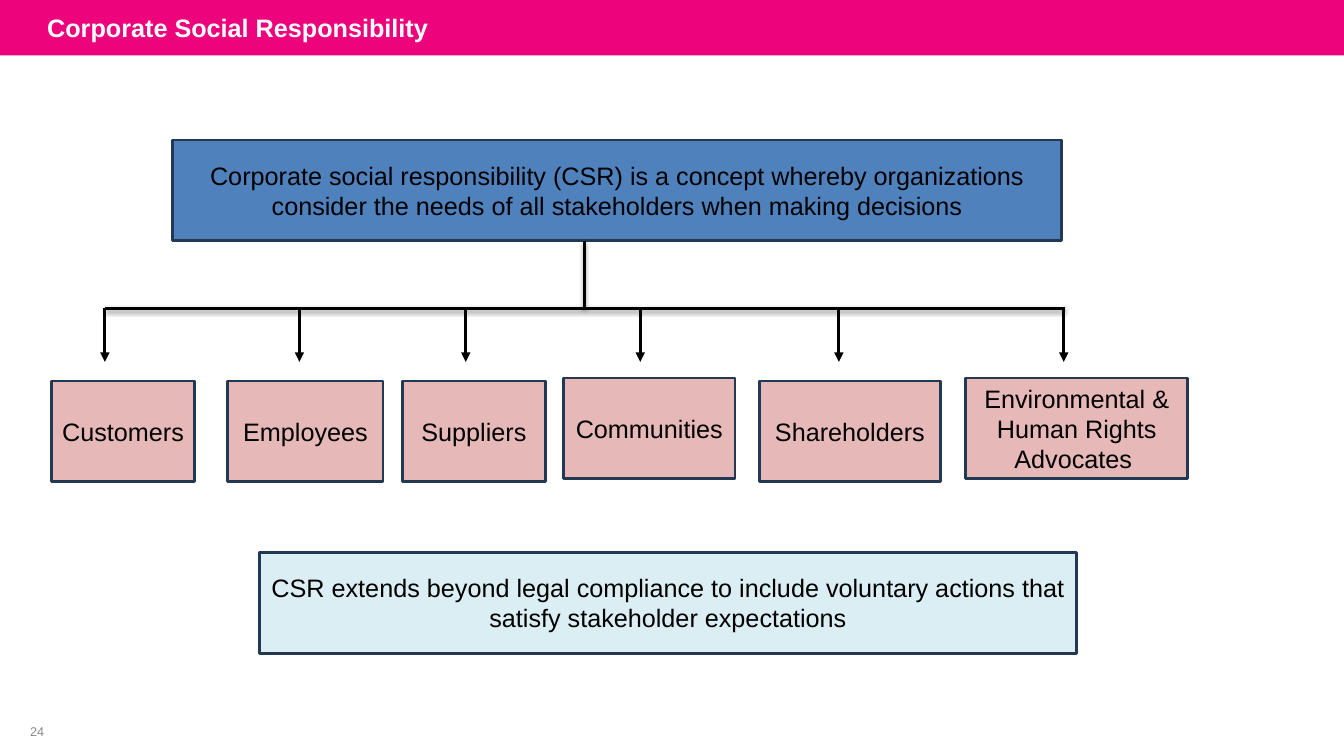
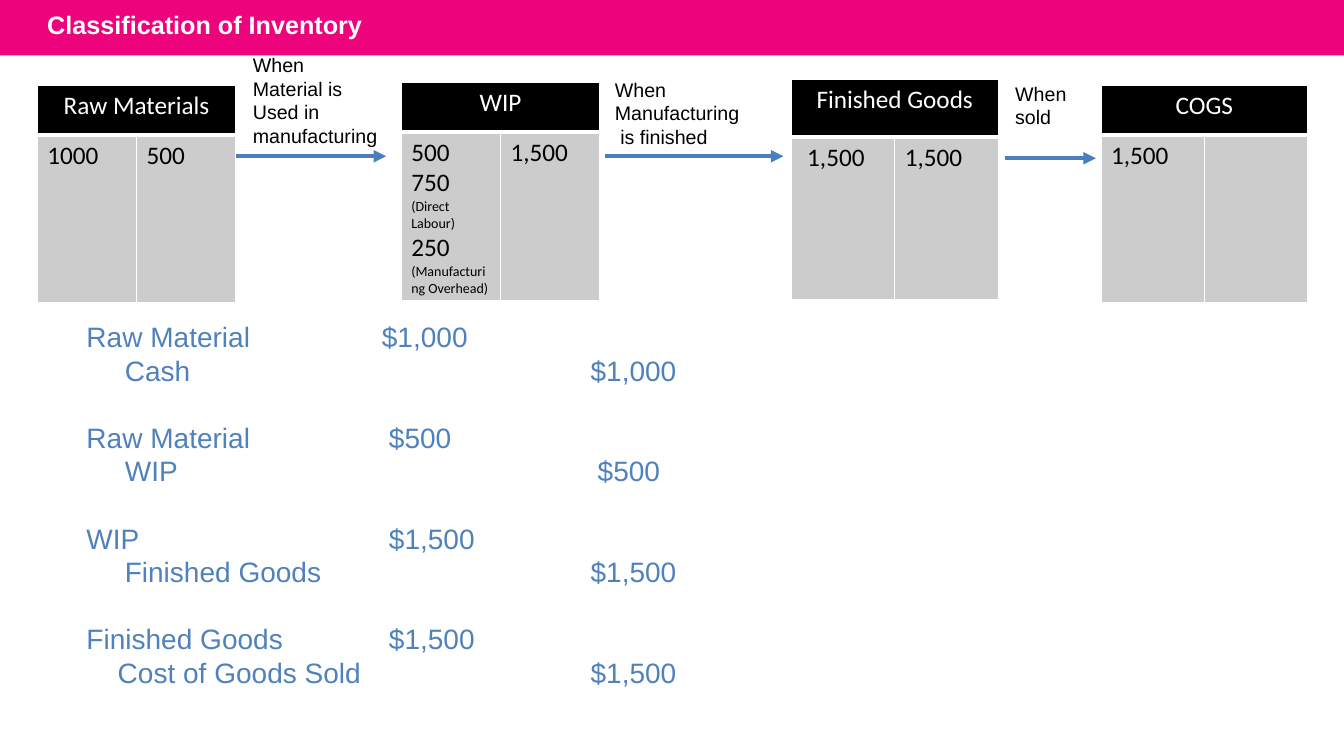
from lxml import etree
from pptx import Presentation
from pptx.dml.color import RGBColor
from pptx.enum.shapes import MSO_CONNECTOR as CONNECTOR, MSO_SHAPE as SHAPE
from pptx.enum.text import MSO_ANCHOR as ANCHOR, PP_ALIGN as ALIGN
from pptx.oxml import parse_xml
from pptx.oxml.ns import nsdecls, qn
from pptx.util import Inches, Pt

COLORS = {
    "band": "ED037C", "white": "FFFFFF", "black": "000000", "grey": "888888",
    "concept": "4F81BD", "stakeholder": "E6B9B8", "scope": "DBEEF4",
    "outline": "233953", "flow": "4B7EBC", "account": "CCCCCC",
}
RGB = {name: RGBColor.from_string(value) for name, value in COLORS.items()}


def write(paragraph, text, size, color="black", font="Arial", bold=False):
    run = paragraph.add_run()
    run.text = text
    run.font.size = Pt(size)
    run.font.name = font
    run.font.bold = bold
    run.font.color.rgb = RGB[color]


def draw_line(slide, x1, y1, x2, y2, color, width, arrow=True):
    line = slide.shapes.add_connector(
        CONNECTOR.STRAIGHT, Inches(x1), Inches(y1), Inches(x2), Inches(y2))
    line.line.color.rgb = RGB[color]
    line.line.width = Pt(width)
    properties = line._element.spPr
    effects = etree.SubElement(properties, qn("a:effectLst"))
    if arrow:
        etree.SubElement(properties.find(qn("a:ln")), qn("a:tailEnd"), type="triangle")
    else:
        effects.append(parse_xml(
            f'<a:outerShdw {nsdecls("a")} blurRad="40000" dist="20000" dir="5400000" rotWithShape="0">'
            '<a:srgbClr val="000000"><a:alpha val="38000"/></a:srgbClr></a:outerShdw>'))


deck = Presentation()
deck.slide_width, deck.slide_height = Inches(13.33), Inches(7.5)

slides = []
for title, title_top in [("Corporate Social Responsibility", 0),
                         ("Classification of Inventory", -0.03)]:
    slide = deck.slides.add_slide(deck.slide_layouts[6])
    band = slide.shapes.add_shape(SHAPE.RECTANGLE, 0, 0, deck.slide_width, Inches(0.55))
    band.shadow.inherit = False
    band.fill.solid()
    band.fill.fore_color.rgb = RGB["band"]
    band.line.fill.background()
    heading = slide.shapes.add_textbox(
        Inches(0.37), Inches(title_top), Inches(10.5), Inches(0.55)).text_frame
    heading.word_wrap = True
    heading.vertical_anchor = ANCHOR.MIDDLE
    write(heading.paragraphs[0], title, 18, "white", bold=True)
    slides.append(slide)
responsibility, inventory = slides

page_number = responsibility.shapes.add_textbox(
    Inches(0.26), Inches(7.14), Inches(0.52), Inches(0.24)).text_frame
page_number.word_wrap = True
page_number.vertical_anchor = ANCHOR.MIDDLE
page_number.margin_left = Inches(0.04)
page_number.margin_right = page_number.margin_top = page_number.margin_bottom = 0
write(page_number.paragraphs[0], "24", 9, "grey")

stakeholders = [
    ("Customers", 0.51, 3.78, 1.42, 1.04),
    ("Employees", 2.26, 3.78, 1.54, 2.97),
    ("Suppliers", 3.99, 3.78, 1.42, 4.62),
    ("Communities", 5.59, 3.75, 1.7, 6.35),
    ("Shareholders", 7.53, 3.78, 1.8, 8.32),
    ("Environmental & Human Rights Advocates ", 9.58, 3.75, 2.2, 10.55),
]
statements = [
    ("Corporate social responsibility (CSR) is a concept whereby organizations "
     "consider the needs of all stakeholders when making decisions", 1.71, 1.39, 8.82, "concept"),
    *[(name, left, top, width, "stakeholder") for name, left, top, width, _ in stakeholders],
    ("CSR extends beyond legal compliance to include voluntary actions that "
     "satisfy stakeholder expectations", 2.57, 5.48, 8.11, "scope"),
]
for text, left, top, width, color in statements:
    box = responsibility.shapes.add_shape(
        SHAPE.RECTANGLE, Inches(left), Inches(top), Inches(width), Inches(1))
    box.shadow.inherit = False
    box.fill.solid()
    box.fill.fore_color.rgb = RGB[color]
    box.line.color.rgb = RGB["outline"]
    box.line.width = Pt(2)
    box.text_frame.word_wrap = True
    box.text_frame.vertical_anchor = ANCHOR.MIDDLE
    box.text_frame.paragraphs[0].alignment = ALIGN.CENTER
    write(box.text_frame.paragraphs[0], text, 18)

branch_y = 3.06
draw_line(responsibility, 5.8, 2.39, 5.8, branch_y, "black", 2, arrow=False)
draw_line(responsibility, 1.04, branch_y, 10.56, branch_y, "black", 2, arrow=False)
for *_, branch_x in stakeholders:
    draw_line(responsibility, branch_x, branch_y, branch_x, 3.59, "black", 2.25)

wip_debits = [
    [("500", 18)],
    [("750 ", 18), ("(Direct Labour)", 10)],
    [("250", 18)],
    [("(Manufacturing Overhead)", 10)],
]
accounts = [
    ("Raw Materials", 0.37, 0.85, 1.97, 0.49, 1.66, [[("1000", 18)]], [[("500", 18)]]),
    ("WIP", 3.98, 0.82, 1.97, 0.49, 1.66, wip_debits, [[("1,500", 18)]]),
    ("Finished Goods", 7.85, 0.79, 2.05, 0.57, 1.61, [[(" 1,500", 18)]], [[("1,500", 18)]]),
    ("COGS", 10.92, 0.85, 2.05, 0.49, 1.66, [[("1,500", 18)]], []),
]
for name, left, top, width, header_height, body_height, debits, credits in accounts:
    account = inventory.shapes.add_table(
        2, 2, Inches(left), Inches(top), Inches(width),
        Inches(header_height + body_height)).table
    account.rows[0].height = Inches(header_height)
    account.rows[1].height = Inches(body_height)
    header = account.cell(0, 0)
    header.merge(account.cell(0, 1))
    header.text_frame.paragraphs[0].alignment = ALIGN.CENTER
    write(header.text_frame.paragraphs[0], name, 18, "white", "Calibri")
    for column, entries in enumerate([debits, credits]):
        frame = account.cell(1, column).text_frame
        for index, entry in enumerate(entries):
            paragraph = frame.add_paragraph() if index else frame.paragraphs[0]
            for text, size in entry:
                write(paragraph, text, size, font="Calibri")
    for position, cell in enumerate(account.iter_cells()):
        is_header = position < 2
        for side in ("lnL", "lnR", "lnT", "lnB"):
            thick = side == ("lnB" if is_header else "lnT")
            cell._tc.get_or_add_tcPr().append(parse_xml(
                f'<a:{side} {nsdecls("a")} w="{Pt(3 if thick else 1)}"><a:solidFill>'
                f'<a:srgbClr val="{COLORS["white"]}"/></a:solidFill></a:{side}>'))
        cell.fill.solid()
        cell.fill.fore_color.rgb = RGB["black" if is_header else "account"]

journal = [
    ("Raw Material", "$1,000", 2.93, "Cash", "$1,000", 0.38, 5),
    ("Raw Material", "$500", 3, "WIP", "$500", 0.38, 5.07),
    ("WIP", "$1,500", 3, "Finished Goods", "$1,500", 0.38, 5),
    ("Finished Goods", "$1,500", 3, "Cost of Goods Sold", "$1,500", 0.31, 5),
]
journal_box = inventory.shapes.add_textbox(
    Inches(0.76), Inches(3.12), Inches(8.5), Inches(4.14))
journal_box.fill.solid()
journal_box.fill.fore_color.rgb = RGB["white"]
journal_frame = journal_box.text_frame
journal_frame.word_wrap = True
for index, (debit, debit_sum, debit_x, credit, credit_sum, indent, credit_x) in enumerate(journal):
    for text, stops in [(f"{debit}\t{debit_sum}", [debit_x]),
                        (f"\t{credit}\t{credit_sum}", [indent, credit_x])]:
        is_debit = len(stops) == 1
        first = index == 0 and is_debit
        paragraph = journal_frame.paragraphs[0] if first else journal_frame.add_paragraph()
        if is_debit and not first:
            paragraph.space_before = Pt(24)
        tabs = etree.SubElement(paragraph._p.get_or_add_pPr(), qn("a:tabLst"))
        for stop in stops:
            etree.SubElement(tabs, qn("a:tab"), pos=str(Inches(stop)), algn="l")
        write(paragraph, text, 20, "concept")

flows = [
    (2.34, 3.83, 1.55, ["When", "Material is", "Used in", "manufacturing"], 2.41, 0.48, 1.44, 1.04),
    (6, 7.77, 1.55, ["When", "Manufacturing", " is finished"], 6, 0.72, 1.44, 1.11),
    (9.97, 10.87, 1.57, ["When", "sold"], 9.97, 0.76, 0.77, 0.57),
]
for start, end, y, lines, left, top, width, height in flows:
    draw_line(inventory, start, y, end, y, "flow", 3)
    label = inventory.shapes.add_textbox(
        Inches(left), Inches(top), Inches(width), Inches(height)).text_frame
    label.word_wrap = False
    for index, text in enumerate(lines):
        write(label.add_paragraph() if index else label.paragraphs[0], text, 14)

deck.save("out.pptx")
